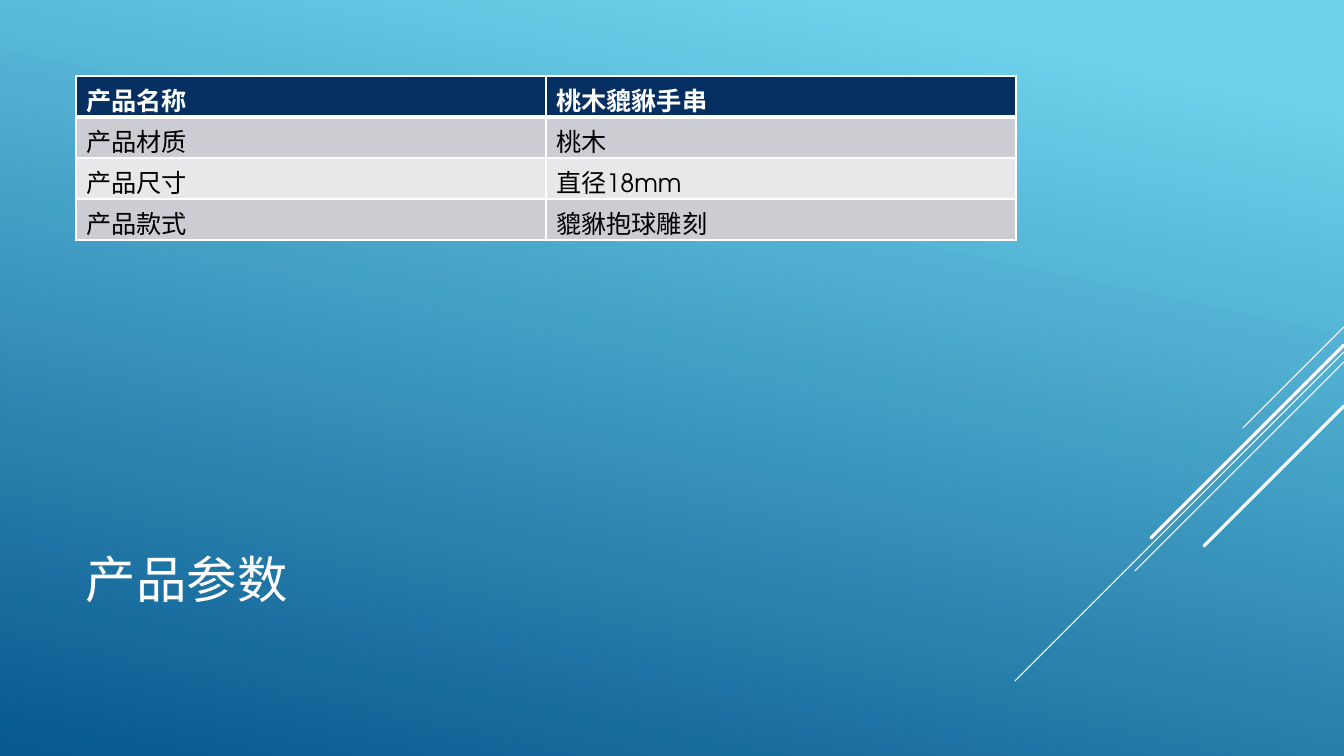
import dataclasses
import pptx
import pptx.dml.color
import pptx.enum.shapes
import pptx.enum.text
import pptx.oxml
import pptx.oxml.ns
import pptx.util

SCALE = 914400 / 100.8
WIDE, HIGH = 1344, 756
HUES = {
    "sky": "6ED2EB", "sea": "06588E", "white": "FFFFFF", "black": "000000",
    "navy": "052F61", "dark": "CCCDD2", "light": "E7E8EA",
}
HAN = "Noto Sans CJK JP"
BODY = "TeX Gyre Adventor"
ROWS = [
    ("产品名称", "桃木貔貅手串"),
    ("产品材质", "桃木"),
    ("产品尺寸", "直径18mm"),
    ("产品款式", "貔貅抱球雕刻"),
]


@dataclasses.dataclass(frozen=True)
class Streak:
    top: int
    span: int
    weight: float


STREAKS = [
    Streak(327, 101, 0.75),
    Streak(352, 329, 0.75),
    Streak(362, 209, 0.75),
    Streak(345, 193, 2.25),
    Streak(406, 140, 2.25),
]


def px(size: int) -> pptx.util.Emu:
    return pptx.util.Emu(round(size * SCALE))


def tint(name: str) -> pptx.dml.color.RGBColor:
    return pptx.dml.color.RGBColor.from_string(HUES[name])


def add_node(parent, tag: str, **values: str):
    node = parent.makeelement(pptx.oxml.ns.qn(tag), values)
    parent.append(node)
    return node


def write(frame, text: str, hue: str, style: dict) -> None:
    run = frame.paragraphs[0].add_run()
    run.text = text
    for key, value in style.items():
        setattr(run.font, key, value)
    run.font.color.rgb = tint(hue)
    add_node(run.font._element, "a:ea", typeface=HAN)


def paint_back(slide) -> None:
    fill = slide.background.fill
    fill.gradient()
    fill.gradient_angle = 360 - 102
    for stop, (place, hue) in zip(fill.gradient_stops, [(0.1, "sky"), (1, "sea")]):
        stop.position = place
        stop.color.rgb = tint(hue)


def draw_streak(slide, streak: Streak) -> None:
    line = slide.shapes.add_connector(
        pptx.enum.shapes.MSO_CONNECTOR.STRAIGHT, px(WIDE), px(streak.top),
        px(WIDE - streak.span), px(streak.top + streak.span))
    line.line.color.rgb = tint("white")
    line.line.width = pptx.util.Pt(streak.weight)
    props = line._element.spPr
    props.find(pptx.oxml.ns.qn("a:ln")).set("cap", "rnd")
    add_node(props, "a:effectLst")


def draw_title(slide) -> None:
    box = slide.shapes.add_textbox(px(76), px(495), px(940), px(166))
    frame = box.text_frame
    frame.word_wrap = True
    frame.vertical_anchor = pptx.enum.text.MSO_ANCHOR.MIDDLE
    write(frame, "产品参数", "white", {"name": HAN, "size": pptx.util.Pt(36)})


def edge_cell(cell, row: int) -> None:
    props = cell._tc.get_or_add_tcPr()
    widths = {"L": 1, "R": 1, "T": 3 if row == 1 else 1, "B": 3 if row == 0 else 1}
    for side, width in widths.items():
        edge = add_node(props, f"a:ln{side}", w=str(pptx.util.Pt(width)))
        fill = add_node(edge, "a:solidFill")
        add_node(fill, "a:srgbClr", val=HUES["white"])


def draw_table(slide) -> None:
    grid = slide.shapes.add_table(
        len(ROWS), 2, px(76), px(76), px(940), px(41 * len(ROWS))).table
    for row, texts in enumerate(ROWS):
        head = row == 0
        shade = "navy" if head else ("light", "dark")[row % 2]
        style = {"name": BODY, "size": pptx.util.Pt(18), "bold": head}
        for col, text in enumerate(texts):
            cell = grid.cell(row, col)
            edge_cell(cell, row)
            cell.fill.solid()
            cell.fill.fore_color.rgb = tint(shade)
            write(cell.text_frame, text, "white" if head else "black", style)


def main() -> None:
    deck = pptx.Presentation()
    deck.slide_width, deck.slide_height = px(WIDE), px(HIGH)
    slide = deck.slides.add_slide(deck.slide_layouts[6])
    paint_back(slide)
    for streak in STREAKS:
        draw_streak(slide, streak)
    draw_title(slide)
    draw_table(slide)
    deck.save("out.pptx")


if __name__ == "__main__":
    main()
